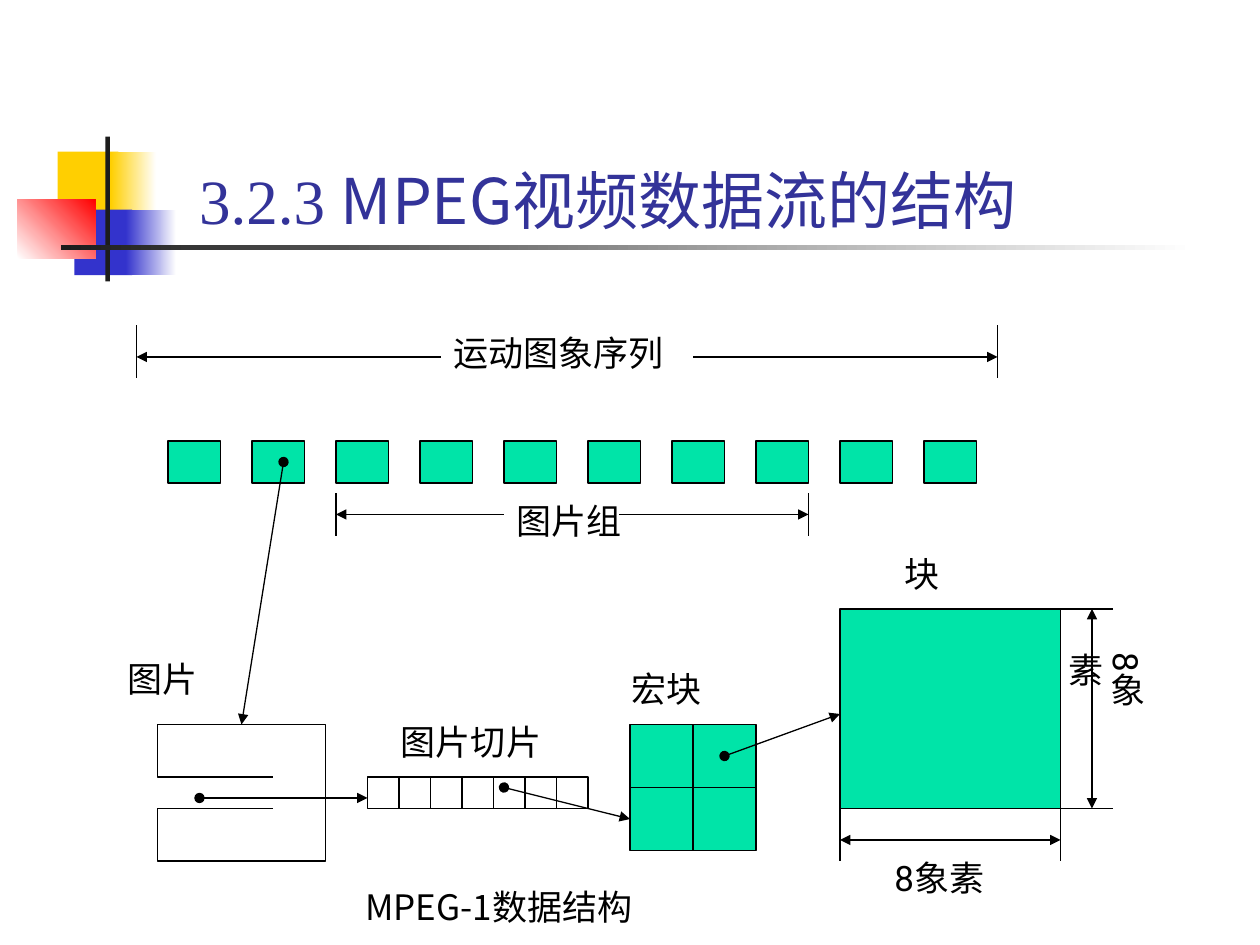
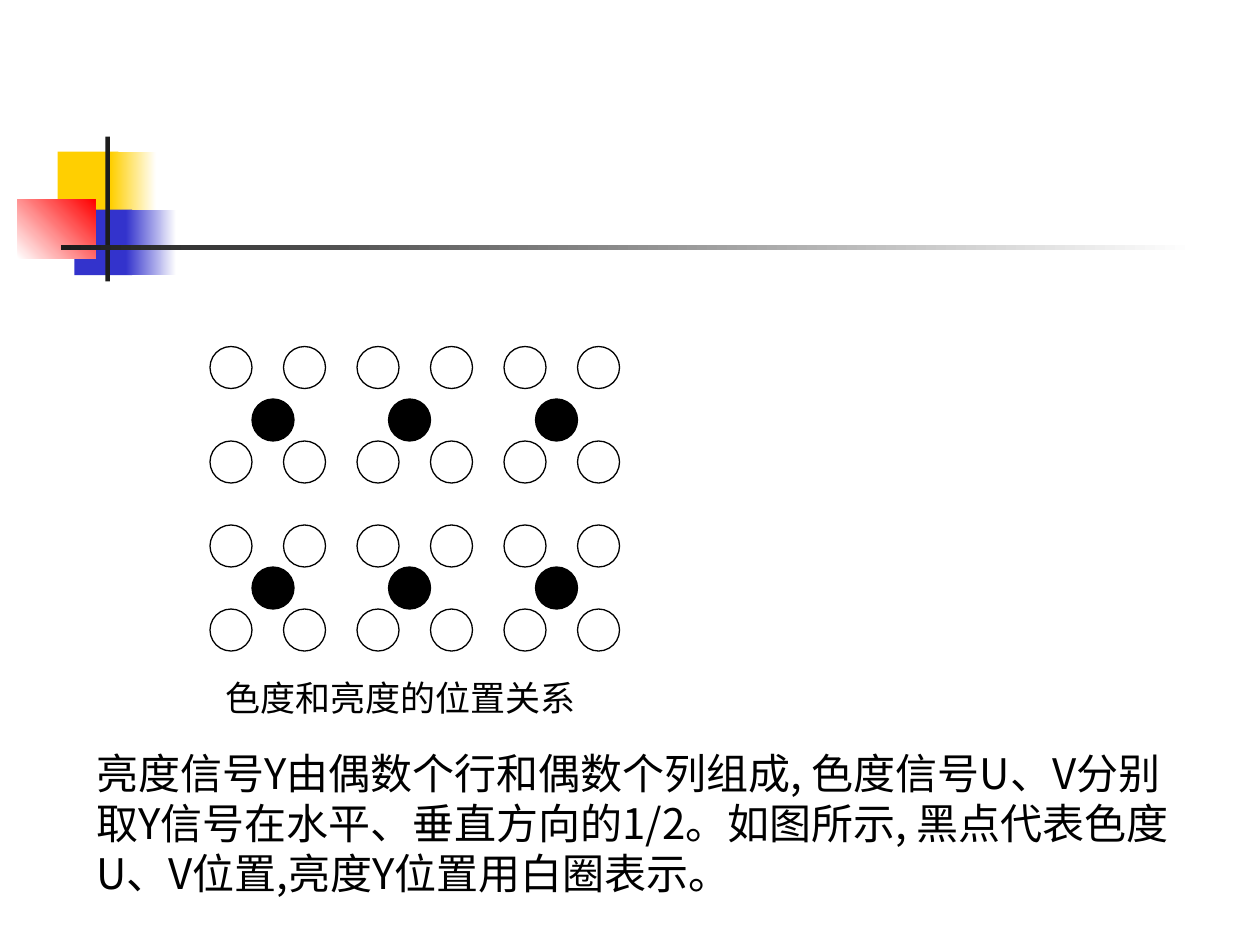
from itertools import product

from lxml.etree import SubElement
from pptx import Presentation
from pptx.dml.color import RGBColor
from pptx.enum.shapes import MSO_CONNECTOR, MSO_SHAPE
from pptx.enum.text import MSO_ANCHOR, MSO_AUTO_SIZE, PP_ALIGN
from pptx.oxml.ns import qn
from pptx.util import Pt

BLACK = RGBColor(0x00, 0x00, 0x00)
WHITE = RGBColor(0xFF, 0xFF, 0xFF)
CHARCOAL = RGBColor(0x1C, 0x1C, 0x1C)
YELLOW = RGBColor(0xFF, 0xCF, 0x01)
BLUE = RGBColor(0x33, 0x33, 0xCC)
RED = RGBColor(0xFF, 0x00, 0x00)
TITLE_BLUE = RGBColor(0x33, 0x33, 0x99)
GREEN = RGBColor(0x00, 0xE4, 0xA8)

LATIN_FONT = "Roboto"
SERIF_FONT = "Times New Roman"
CHINESE_FONT = "Noto Sans CJK SC"

TITLE_ONLY_LAYOUT, BLANK_LAYOUT = 5, 6
FRAME_FORMAT = {
    "word_wrap": True,
    "auto_size": MSO_AUTO_SIZE.NONE,
    "margin_left": Pt(7.2),
    "margin_right": Pt(7.2),
    "margin_top": Pt(3.6),
    "margin_bottom": Pt(3.6),
}
LABEL_FONT = {"name": LATIN_FONT, "size": Pt(20)}


# Shared helpers
def apply_format(target, values):
    for name, value in values.items():
        setattr(target, name, value)


def points(*lengths):
    return [Pt(length) for length in lengths]


def add_box(slide, box, fill=None, line=BLACK, kind=MSO_SHAPE.RECTANGLE, line_width=0.75):
    """Add a preset shape; a pair of colours as fill makes a gradient."""
    shape = slide.shapes.add_shape(kind, *points(*box))
    shape.shadow.inherit = False
    if fill is None:
        shape.fill.background()
    elif isinstance(fill, RGBColor):
        shape.fill.solid()
        shape.fill.fore_color.rgb = fill
    else:
        shape.fill.gradient()
        for stop, color in zip(shape.fill.gradient_stops, fill):
            stop.color.rgb = color
        shape.fill.gradient_angle = 0
    if line is None:
        shape.line.fill.background()
    else:
        shape.line.color.rgb = line
        shape.line.width = Pt(line_width)
    return shape


def add_line(slide, start, end, head=None, tail=None):
    connector = slide.shapes.add_connector(
        MSO_CONNECTOR.STRAIGHT, *points(*start), *points(*end))
    connector.line.color.rgb = BLACK
    connector.line.width = Pt(0.75)
    properties = connector._element.spPr
    outline = properties.find(qn("a:ln"))
    for tag, arrow in (("a:headEnd", head), ("a:tailEnd", tail)):
        if arrow:
            SubElement(outline, qn(tag), type=arrow)
    SubElement(properties, qn("a:effectLst"))


def add_pointer(slide, start, end):
    add_line(slide, start, end, head="oval", tail="triangle")


def add_text(slide, box, text, font=None, alignment=PP_ALIGN.LEFT, line_spacing=None):
    frame = slide.shapes.add_textbox(*points(*box)).text_frame
    apply_format(frame, FRAME_FORMAT)
    paragraph = frame.paragraphs[0]
    apply_format(paragraph, {"alignment": alignment, "line_spacing": line_spacing})
    run = paragraph.add_run()
    run.text = text
    apply_format(run.font, {**LABEL_FONT, **(font or {})})
    run.font.color.rgb = BLACK
    return frame


# Header shared by both slides
def add_header(slide, box):
    left, top, width, height = box
    parts = (
        ((23, 8.6, 34.6, 37.4), YELLOW),
        ((53.4, 8.6, 25.9, 37.4), (YELLOW, WHITE)),
        ((32.5, 41.8, 33.1, 37.4), BLUE),
        ((62, 41.8, 28.8, 37.4), (BLUE, WHITE)),
        ((0, 36, 44.6, 33.6), (WHITE, RED)),
        ((50.2, 0, 2.6, height), CHARCOAL),
        ((25, 62.2, width - 25, 2.8), (CHARCOAL, WHITE)),
    )
    for (x, y, part_width, part_height), fill in parts:
        shape = add_box(slide, (left + x, top + y, part_width, part_height), fill, line=None)
        if fill == (WHITE, RED):
            shape.fill.gradient_angle = 45


def format_title(slide, box, pieces):
    title = slide.shapes.title
    apply_format(title, dict(zip(("left", "top", "width", "height"), points(*box))))
    frame = title.text_frame
    apply_format(frame, {**FRAME_FORMAT, "vertical_anchor": MSO_ANCHOR.BOTTOM})
    paragraph = frame.paragraphs[0]
    paragraph.alignment = PP_ALIGN.LEFT
    for text, font_name in pieces:
        run = paragraph.add_run()
        run.text = text
        apply_format(run.font, {"name": font_name, "size": Pt(36)})
        run.font.color.rgb = TITLE_BLUE


# Regions of the data structure slide
def add_span(slide, box, arrow_offset, gap):
    """Draw a dimension with end ticks, broken by a gap for its label."""
    left, top, width, height = box
    right, arrow_y = left + width, top + arrow_offset
    for x in (left, right):
        add_line(slide, (x, top), (x, top + height))
    add_line(slide, (left, arrow_y), (left + gap[0], arrow_y), head="triangle")
    add_line(slide, (left + gap[1], arrow_y), (right, arrow_y), tail="triangle")


def add_sequence(slide, box):
    left, top, width, height = box
    add_span(slide, (left, top, width, 30), 18, (174, 318))
    add_text(slide, (left + 174, top, 138, 32), "运动图象序列")
    for index in range(10):
        add_box(slide, (left + 18 + 48 * index, top + 66, 30, 24), GREEN)
    add_span(slide, (left + 114, top + 96, 270, 24), 12, (96, 162))
    add_text(slide, (left + 210, top + 96, 78, 32), "图片组")


def add_picture_outline(slide, box):
    left, top, width, height = box
    right, bottom, notch = left + width, top + height, left + 66
    builder = slide.shapes.build_freeform(*points(notch, top + 30))
    corners = (
        (left, top + 30), (left, top), (right, top), (right, bottom),
        (left, bottom), (left, top + 48), (notch, top + 48),
    )
    builder.add_line_segments([points(*corner) for corner in corners], close=False)
    shape = builder.convert_to_shape()
    shape.shadow.inherit = False
    shape.fill.background()
    shape.line.color.rgb = BLACK
    shape.line.width = Pt(0.75)
    add_text(slide, (left - 24, top - 42, 66, 32), "图片", {"name": SERIF_FONT})


def add_slices(slide, box):
    left, top, width, height = box
    for index in range(7):
        add_box(slide, (left + index * width / 7, top, width / 7, height), line_width=1)
    add_text(slide, (left + 12, top - 36, 96, 32), "图片切片")


def add_macroblock(slide, box):
    left, top, width, height = box
    middle_x, middle_y = left + width / 2, top + height / 2
    add_box(slide, box, GREEN)
    add_line(slide, (left, middle_y), (left + width, middle_y))
    add_line(slide, (middle_x, top), (middle_x, top + height))
    add_text(slide, (left - 18, top - 36, 78, 32), "宏块", alignment=PP_ALIGN.CENTER)


def add_block(slide, box):
    left, top, width, height = box
    right, bottom = left + width, top + height
    add_box(slide, box, GREEN)
    add_text(slide, (left + 30, top - 36, 48, 32), "块")
    # Extension lines and dimension arrows
    for x in (left, right):
        add_line(slide, (x, bottom), (x, bottom + 30))
    for y in (top, bottom):
        add_line(slide, (right, y), (right + 30, y))
    for start, end in (
        ((left, bottom + 18), (right, bottom + 18)),
        ((right + 18, top), (right + 18, bottom)),
    ):
        add_line(slide, start, end, head="triangle", tail="triangle")
    add_text(slide, (left + 24, bottom + 24, 84, 32), "8象素")
    frame = add_text(slide, (right - 8.4, top + 17.8, 62, 62.6), "8象素")
    apply_format(frame, {
        "margin_left": Pt(3.6), "margin_right": Pt(3.6),
        "margin_top": Pt(7.2), "margin_bottom": Pt(7.2),
    })
    frame._txBody.bodyPr.set("vert", "eaVert")


# Regions of the sampling slide
def add_sample_grid(slide, box):
    left, top, width, height = box
    diameter = 24
    step = (width - diameter) / 5
    for y, column in product((0, 54, 102, 150), range(6)):
        add_box(slide, (left + step * column, top + y, diameter, diameter),
                kind=MSO_SHAPE.OVAL)
    for y, x in product((30, 126), (24, 102, 186)):
        add_box(slide, (left + x, top + y, diameter, diameter), BLACK, kind=MSO_SHAPE.OVAL)
    add_text(slide, (left + 1.7, top + height + 11, 295, 32), "色度和亮度的位置关系")


# Slides
def add_slide(presentation, layout_index):
    slide = presentation.slides.add_slide(presentation.slide_layouts[layout_index])
    add_header(slide, (10, 78, 672.6, 82.8))
    return slide


def build_structure_slide(presentation):
    slide = add_slide(presentation, TITLE_ONLY_LAYOUT)
    format_title(slide, (106.6, 84.2, 517.7, 54.7),
                 (("3.2.3 ", SERIF_FONT), ("MPEG视频数据流的结构", CHINESE_FONT)))
    add_sequence(slide, (78, 186, 492, 120))
    add_picture_outline(slide, (90, 414, 96, 78))
    add_slices(slide, (210, 444, 126, 18))
    add_macroblock(slide, (360, 414, 72, 72))
    add_block(slide, (480, 348, 126, 114))
    # Pointers from each level to the next
    for start, end in (
        ((162, 264), (138, 414)),
        ((114, 456), (210, 456)),
        ((288, 450), (360, 468)),
        ((414, 432), (480, 408)),
    ):
        add_pointer(slide, start, end)
    add_text(slide, (201.6, 502.6, 266, 32), "MPEG-1数据结构", {"name": CHINESE_FONT})


def build_sampling_slide(presentation):
    slide = add_slide(presentation, BLANK_LAYOUT)
    add_sample_grid(slide, (120, 198, 234, 174))
    add_text(
        slide, (48, 423.4, 641, 93.6),
        "亮度信号Y由偶数个行和偶数个列组成, 色度信号U、V分别取Y信号在水平、"
        "垂直方向的1/2。如图所示, 黑点代表色度U、V位置,亮度Y位置用白圈表示。",
        {"name": CHINESE_FONT, "size": Pt(24)}, line_spacing=Pt(28.8))


def main():
    presentation = Presentation()
    presentation.slide_width, presentation.slide_height = points(720, 540)
    build_structure_slide(presentation)
    build_sampling_slide(presentation)
    presentation.save("out.pptx")


if __name__ == "__main__":
    main()
